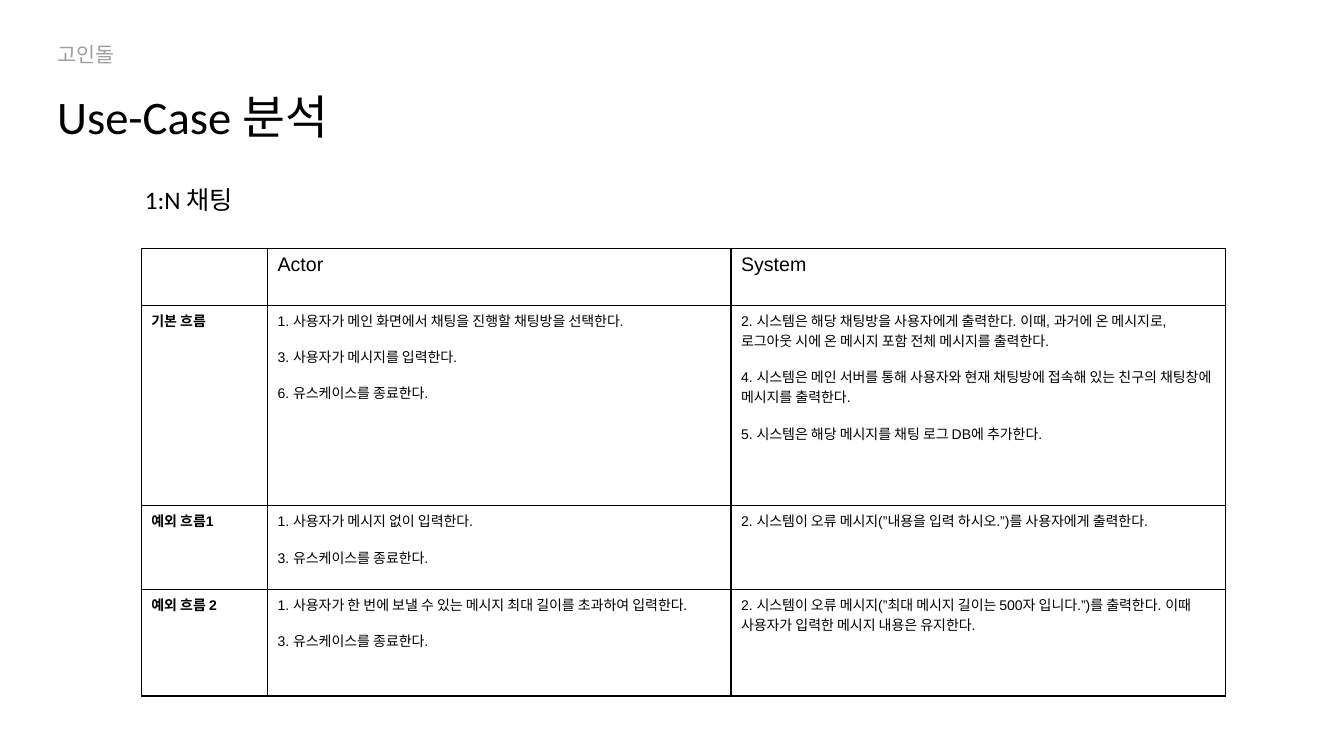
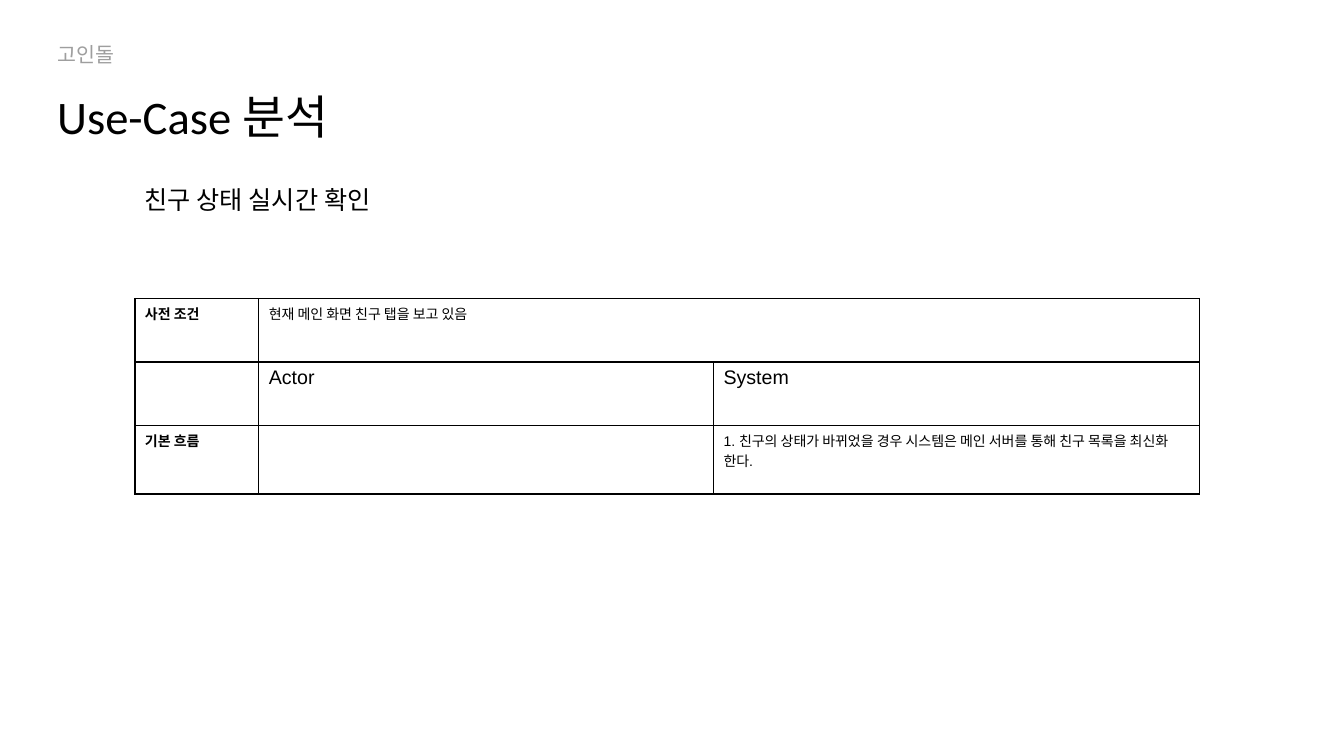
from dataclasses import dataclass

from lxml import etree
from pptx import Presentation
from pptx import util as u
from pptx.dml.color import RGBColor
from pptx.enum import text
from pptx.oxml import ns


@dataclass(frozen=True)
class Theme:
    ink: str = "000000"
    muted: str = "9E9E9E"
    heading_font: str = "Calibri"
    table_font: str = "Arial"
    team_size: float = 14.7
    title_size: float = 33.3
    subtitle_size: float = 18
    header_size: float = 14
    body_size: float = 10
    step_gap: float = 11.5
    border_width: float = 1


class UseCaseDeck:
    def __init__(self, theme):
        self.theme = theme
        self.deck = Presentation()
        self.deck.slide_width = u.Cm(33.87)
        self.deck.slide_height = u.Cm(19.05)
        self.slide = None

    def add_slide(self, subtitle):
        """Start a slide with the team name, shared title and its own subtitle."""
        theme = self.theme
        self.slide = self.deck.slides.add_slide(self.deck.slide_layouts[6])
        self.add_text("고인돌", (1.19, 0.94, 7.19, 0.89), theme.team_size, theme.muted)
        self.add_text("Use-Case 분석", (1.19, 2.08, 13.41, 1.68), theme.title_size, theme.ink)
        self.add_text(subtitle, (3.4, 4.52, 7.01, 1.04), theme.subtitle_size, theme.ink)

    def style(self, para, font_name, size, color, bold=False):
        para.font.name = font_name
        para.font.size = u.Pt(size)
        para.font.bold = bold
        para.font.color.rgb = RGBColor.from_string(color)

    def add_text(self, words, place, size, color):
        box = self.slide.shapes.add_textbox(*(u.Cm(length) for length in place))
        frame = box.text_frame
        frame.word_wrap = True
        frame.auto_size = text.MSO_AUTO_SIZE.SHAPE_TO_FIT_TEXT
        para = frame.paragraphs[0]
        para.text = words
        self.style(para, self.theme.heading_font, size, color)

    def add_table(self, left, top, widths, heights, rows):
        """Draw a flow table; a row with no label holds the column headings.

        A row shorter than the table has its last cell stretched to the right edge.
        """
        table = self.slide.shapes.add_table(
            len(rows), len(widths), u.Cm(left), u.Cm(top),
            u.Cm(sum(widths)), u.Cm(sum(heights))).table
        table.first_row = table.horz_banding = False
        for column, width in zip(table.columns, widths):
            column.width = u.Cm(width)
        for row, height in zip(table.rows, heights):
            row.height = u.Cm(height)
        for cell in table.iter_cells():
            self.outline(cell)
        last = len(widths) - 1
        for r, row in enumerate(rows):
            size = self.theme.body_size if row[0] else self.theme.header_size
            for c, words in enumerate(row):
                self.fill_cell(table.cell(r, c), words, size, bold=c == 0)
            if len(row) <= last:
                table.cell(r, len(row) - 1).merge(table.cell(r, last))

    def fill_cell(self, cell, words, size, bold):
        cell.text = words
        for index, para in enumerate(cell.text_frame.paragraphs):
            if index:
                para.space_before = u.Pt(self.theme.step_gap)
            self.style(para, self.theme.table_font, size, self.theme.ink, bold)

    def outline(self, cell):
        cell.fill.background()
        properties = cell._tc.get_or_add_tcPr()
        for index, side in enumerate(("lnL", "lnR", "lnT", "lnB")):
            line = etree.Element(ns.qn(f"a:{side}"), w=str(u.Pt(self.theme.border_width)))
            fill = etree.SubElement(line, ns.qn("a:solidFill"))
            etree.SubElement(fill, ns.qn("a:srgbClr"), val=self.theme.ink)
            properties.insert(index, line)

    def save(self):
        self.deck.save("out.pptx")


def main():
    deck = UseCaseDeck(Theme())
    headings = ("", "Actor", "System")

    deck.add_slide("1:N 채팅")
    deck.add_table(3.56, 6.27, (3.18, 11.68, 12.47), (1.42, 5.05, 2.11, 2.69), (
        headings,
        ("기본 흐름",
         "1. 사용자가 메인 화면에서 채팅을 진행할 채팅방을 선택한다.\n"
         "3. 사용자가 메시지를 입력한다.\n"
         "6. 유스케이스를 종료한다.",
         "2. 시스템은 해당 채팅방을 사용자에게 출력한다. 이때, 과거에 온 메시지로, "
         "로그아웃 시에 온 메시지 포함 전체 메시지를 출력한다.\n"
         "4. 시스템은 메인 서버를 통해 사용자와 현재 채팅방에 접속해 있는 친구의 "
         "채팅창에 메시지를 출력한다.\n"
         "5. 시스템은 해당 메시지를 채팅 로그 DB에 추가한다."),
        ("예외 흐름1",
         "1. 사용자가 메시지 없이 입력한다.\n"
         "3. 유스케이스를 종료한다.",
         "2. 시스템이 오류 메시지(”내용을 입력 하시오.”)를 사용자에게 출력한다."),
        ("예외 흐름 2",
         "1. 사용자가 한 번에 보낼 수 있는 메시지 최대 길이를 초과하여 입력한다.\n"
         "3. 유스케이스를 종료한다.",
         "2. 시스템이 오류 메시지(”최대 메시지 길이는 500자 입니다.”)를 출력한다. "
         "이때 사용자가 입력한 메시지 내용은 유지한다."),
    ))

    deck.add_slide("친구 상태 실시간 확인")
    deck.add_table(3.4, 7.52, (3.12, 11.46, 12.24), (1.6, 1.6, 1.73), (
        ("사전 조건", "현재 메인 화면 친구 탭을 보고 있음"),
        headings,
        ("기본 흐름", "",
         "1. 친구의 상태가 바뀌었을 경우 시스템은 메인 서버를 통해 "
         "친구 목록을 최신화 한다."),
    ))

    deck.save()


if __name__ == "__main__":
    main()
